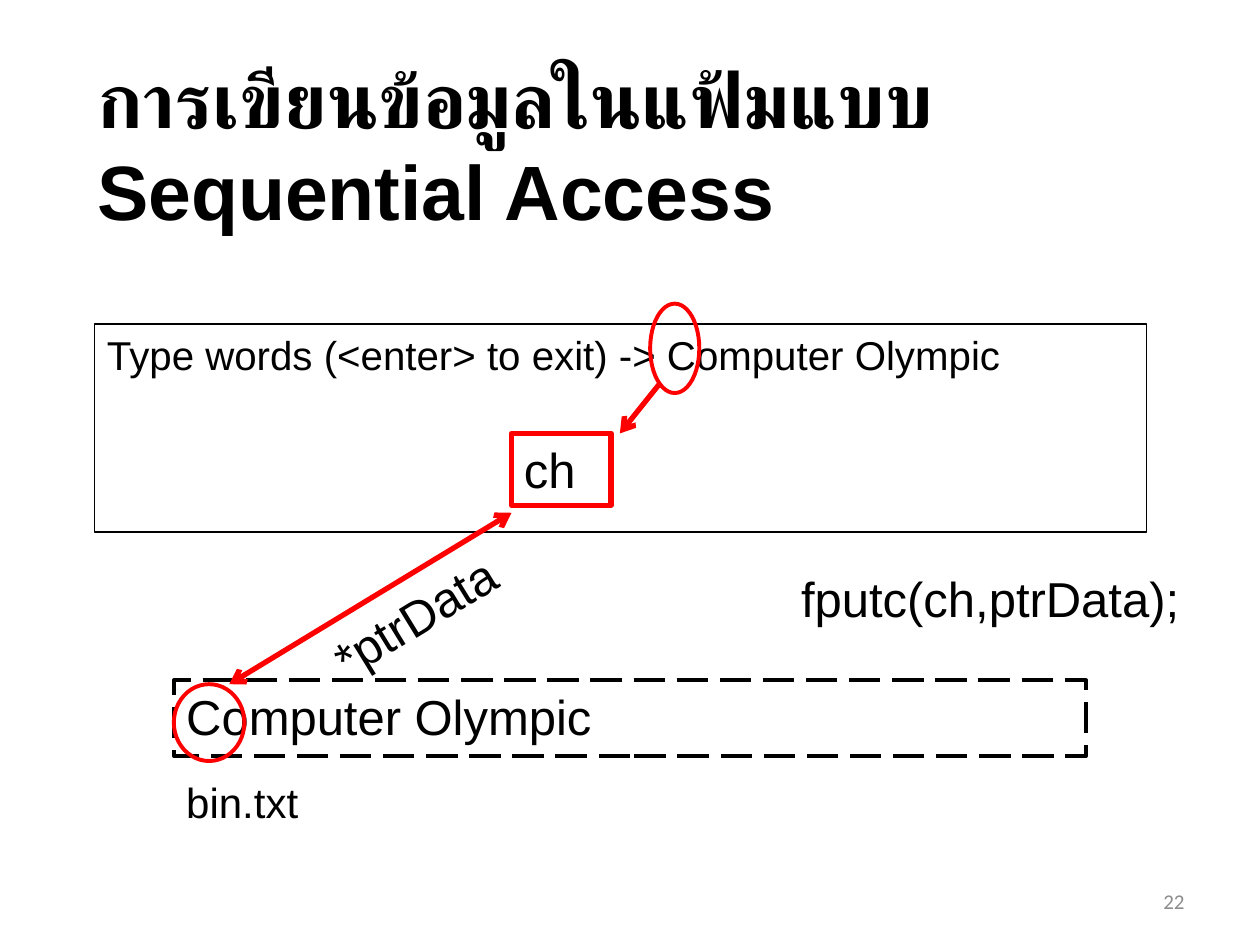
from lxml import etree
from pptx import Presentation
from pptx import util as u
from pptx.dml.color import RGBColor
from pptx.enum import dml, shapes, text
from pptx.oxml.ns import qn

BLACK, RED, GREY = "000000", "FF0000", "8C8C8C"


def color(hex_text):
    return RGBColor.from_string(hex_text)


def write(tf, content, size=28, font="Arial", ink=BLACK, bold=False,
          align=text.PP_ALIGN.LEFT, anchor=text.MSO_ANCHOR.TOP, wrap=True):
    tf.word_wrap = wrap
    tf.auto_size = text.MSO_AUTO_SIZE.NONE
    tf.vertical_anchor = anchor
    p = tf.paragraphs[0]
    p.alignment = align
    r = p.add_run()
    r.text = content
    r.font.name, r.font.size, r.font.bold = font, u.Pt(size), bold
    r.font.color.rgb = color(ink)


class Builder:
    """Holds the style and the current slide."""

    def __init__(self, prs):
        self.s = prs.slides.add_slide(prs.slide_layouts[5])

    def title(self, content, box, **fmt):
        sp = self.s.shapes.title
        sp.left, sp.top, sp.width, sp.height = map(u.Inches, box)
        write(sp.text_frame, content, **fmt)

    def label(self, content, box, rotation=0, **fmt):
        sp = self.s.shapes.add_textbox(*map(u.Inches, box))
        sp.rotation = rotation
        write(sp.text_frame, content, **fmt)

    def outline(self, box, line, width, kind=shapes.MSO_SHAPE.RECTANGLE,
                dash=None, content=None, **fmt):
        sp = self.s.shapes.add_shape(kind, *map(u.Inches, box))
        sp.shadow.inherit = False
        sp.fill.background()
        sp.line.color.rgb = color(line)
        sp.line.width = u.Pt(width)
        if dash:
            sp.line.dash_style = dash
        if content:
            write(sp.text_frame, content, **fmt)
        return sp

    def ring(self, box):
        return self.outline(box, RED, 2.25, kind=shapes.MSO_SHAPE.OVAL)

    def arrow(self, start, end, heads=("tailEnd",)):
        sp = self.s.shapes.add_connector(
            shapes.MSO_CONNECTOR.STRAIGHT, *map(u.Inches, start + end))
        sp.line.color.rgb = color(RED)
        sp.line.width = u.Pt(3)
        ln = sp.line._get_or_add_ln()
        for head in heads:
            etree.SubElement(ln, qn("a:" + head), type="arrow")
        etree.SubElement(ln.getparent(), qn("a:effectLst"))
        return sp

    def group(self, *members):
        self.s.shapes.add_group_shape(members)


def main():
    prs = Presentation()
    prs.slide_width, prs.slide_height = u.Inches(10), u.Inches(7.5)
    b = Builder(prs)

    # Title and slide number
    b.title("การเขียนข้อมูลในแฟ้มแบบ Sequential Access",
            (0.67, 0.36, 9.1, 1.58), size=44, bold=True)
    b.label("22", (7.17, 6.95, 2.33, 0.4), size=12, font="Calibri", ink=GREY,
            align=text.PP_ALIGN.RIGHT, anchor=text.MSO_ANCHOR.MIDDLE)

    # Console input and the file it is written to
    b.outline((0.75, 2.57, 8.35, 1.65), BLACK, 1, size=23,
              content="Type words (<enter> to exit) -> Computer Olympic")
    b.outline((1.38, 5.4, 7.24, 0.6), BLACK, 2.25,
              dash=dml.MSO_LINE.LONG_DASH, content="Computer Olympic")
    b.label("bin.txt", (1.38, 6.11, 1.97, 0.5), size=24)
    b.label("fputc(ch,ptrData);", (6.26, 4.46, 3.21, 0.57), wrap=False)

    # Character read into ch
    b.group(b.ring((5.16, 2.41, 0.39, 0.71)),
            b.outline((4.06, 3.44, 0.79, 0.57), RED, 3, content="ch"),
            b.arrow((5.24, 3.04), (4.92, 3.44)))

    # Character written through the file pointer
    b.ring((1.38, 5.43, 0.56, 0.61))
    b.arrow((4.06, 4.07), (1.82, 5.43), heads=("headEnd", "tailEnd"))
    b.label("*ptrData", (2.48, 4.6, 1.65, 0.57), rotation=328.4)

    prs.save("out.pptx")


if __name__ == "__main__":
    main()
